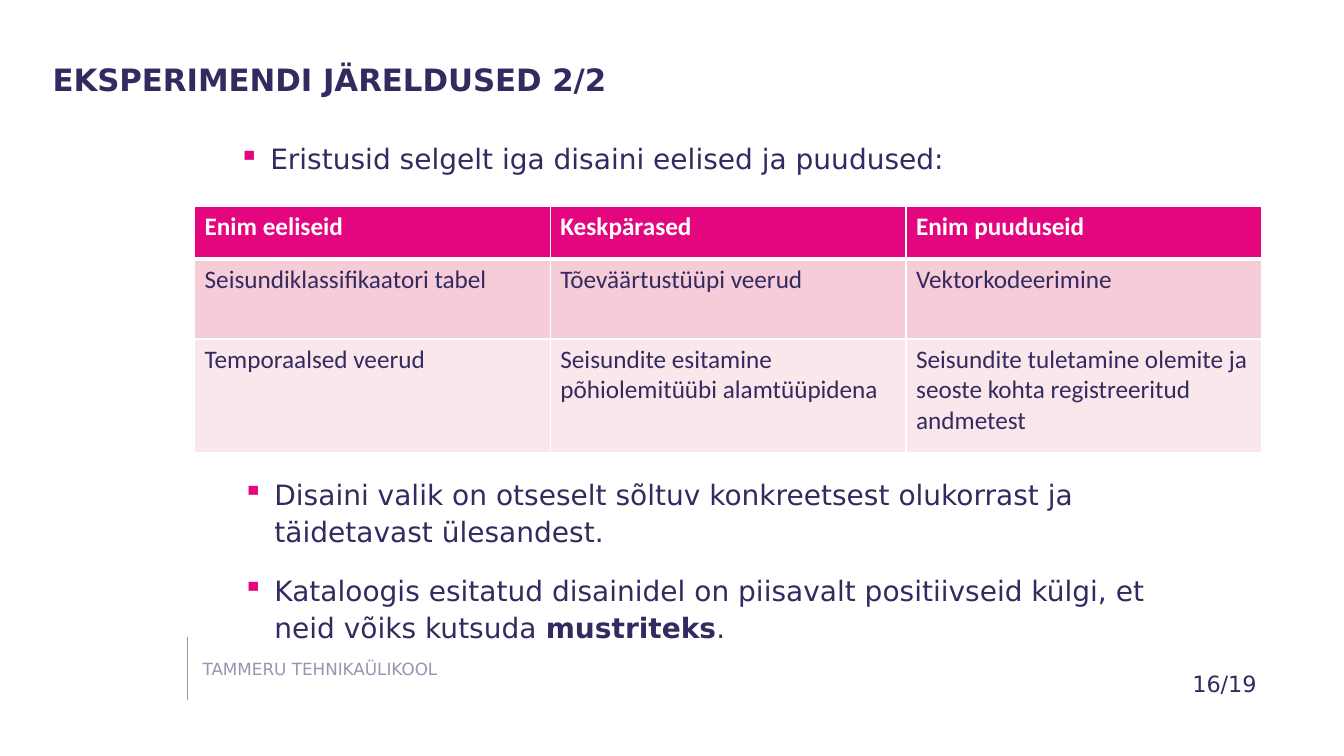
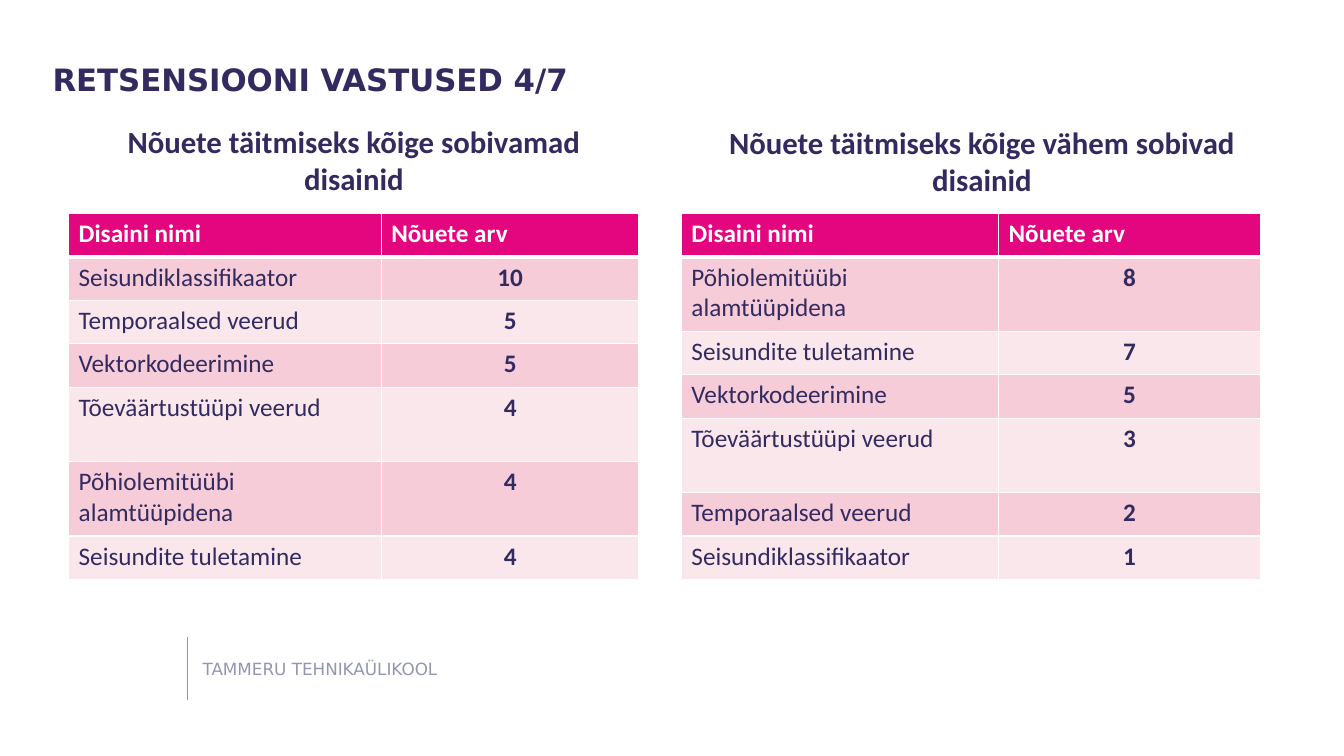
from dataclasses import dataclass

from lxml.etree import SubElement
from pptx import Presentation
from pptx.dml.color import RGBColor
from pptx.enum.shapes import MSO_CONNECTOR as Connector
from pptx.enum.text import MSO_ANCHOR as Anchor, MSO_AUTO_SIZE as AutoSize, PP_ALIGN as Align
from pptx.oxml.ns import qn
from pptx.util import Pt

# Content
ORGANISATION = "TAMMERU TEHNIKAÜLIKOOL"

CONCLUSIONS_TITLE = "EKSPERIMENDI JÄRELDUSED 2/2"
# Every second piece of a point is bold
COMPARISON_POINT = [("Eristusid selgelt iga disaini eelised ja puudused:",)]
CLOSING_POINTS = [
    ("Disaini valik on otseselt sõltuv konkreetsest olukorrast ja täidetavast ülesandest.",),
    ("Kataloogis esitatud disainidel on piisavalt positiivseid külgi, et neid võiks kutsuda ",
     "mustriteks", "."),
]
DESIGN_COMPARISON = [
    ("Enim eeliseid", "Keskpärased", "Enim puuduseid"),
    ("Seisundiklassifikaatori tabel", "Tõeväärtustüüpi veerud", "Vektorkodeerimine"),
    ("Temporaalsed veerud", "Seisundite esitamine põhiolemitüübi alamtüüpidena",
     "Seisundite tuletamine olemite ja seoste kohta registreeritud andmetest"),
]
PAGE_NUMBER = "16/19"

REVIEW_TITLE = "RETSENSIOONI VASTUSED 4/7"
CLASSIFIER = "Seisundiklassifikaator"
TEMPORAL = "Temporaalsed veerud"
VECTOR = "Vektorkodeerimine"
BOOLEAN = "Tõeväärtustüüpi veerud"
SUBTYPES = "Põhiolemitüübi alamtüüpidena"
DERIVED = "Seisundite tuletamine"
RANKING_HEADER = ("Disaini nimi", "Nõuete arv")
MOST_SUITABLE = [(CLASSIFIER, 10), (TEMPORAL, 5), (VECTOR, 5),
                 (BOOLEAN, 4), (SUBTYPES, 4), (DERIVED, 4)]
LEAST_SUITABLE = [(SUBTYPES, 8), (DERIVED, 7), (VECTOR, 5),
                  (BOOLEAN, 3), (TEMPORAL, 2), (CLASSIFIER, 1)]
TALL_ROWS = {BOOLEAN, SUBTYPES}
# Heading, ranking, table left, heading left, heading top, width
RANKINGS = [
    ("Nõuete täitmiseks kõige sobivamad disainid", MOST_SUITABLE, 49, 49, 84.2, 407.5),
    ("Nõuete täitmiseks kõige vähem sobivad disainid", LEAST_SUITABLE, 486.7, 494.6, 85, 413.5),
]


@dataclass(frozen=True)
class Theme:
    ink: str = "332B60"
    accent: str = "E4067E"
    muted: str = "9396B0"
    white: str = "FFFFFF"
    bands: tuple = ("F5CCD8", "FAE7EC")
    font: str = "DejaVu Sans"
    table_font: str = "Calibri"
    heading: int = 22
    body: int = 20
    table: int = 18
    page: int = 16
    footer: int = 12


THEME = Theme()
deck = Presentation()
deck.slide_width, deck.slide_height = Pt(960), Pt(540)


# Text
def rgb(colour):
    return RGBColor.from_string(colour)


def style(paragraph, size, colour=THEME.ink, font=THEME.font, bold=False, align=Align.LEFT):
    paragraph.alignment = align
    for run in paragraph.runs:
        run.font.name, run.font.size, run.font.bold = font, Pt(size), bold
        run.font.color.rgb = rgb(colour)


def clear_margins(frame):
    frame.margin_left = frame.margin_top = frame.margin_right = frame.margin_bottom = 0


def add_text(slide, text, left, top, width, height, size, margins=True, **look):
    frame = slide.shapes.add_textbox(Pt(left), Pt(top), Pt(width), Pt(height)).text_frame
    frame.word_wrap = True
    if not margins:
        clear_margins(frame)
    frame.text = text
    style(frame.paragraphs[0], size, **look)
    return frame


def add_points(slide, points, left, top, height, spacing):
    frame = add_text(slide, "", left, top, 693.4, height, THEME.body, margins=False)
    for index, pieces in enumerate(points):
        point = frame.add_paragraph() if index else frame.paragraphs[0]
        for piece in pieces:
            point.add_run().text = piece
        style(point, THEME.body)
        for run in point.runs[1::2]:
            run.font.bold = True
        point.line_spacing = spacing
        point.space_before, point.space_after = Pt(10), Pt(6)
        # Hanging square bullet
        properties = point._p.get_or_add_pPr()
        properties.set("marL", str(Pt(22.5)))
        properties.set("indent", str(-Pt(22.5)))
        bullet_colour = SubElement(properties, qn("a:buClr"))
        SubElement(bullet_colour, qn("a:srgbClr"), val=THEME.accent)
        SubElement(properties, qn("a:buChar"), char="▪")


# Tables
def set_borders(cell, top, bottom):
    properties = cell._tc.get_or_add_tcPr()
    for side, weight in (("L", 1), ("R", 1), ("T", top), ("B", bottom)):
        line = SubElement(properties, qn(f"a:ln{side}"), w=str(Pt(weight)))
        fill = SubElement(line, qn("a:solidFill"))
        SubElement(fill, qn("a:srgbClr"), val=THEME.white)


def add_grid(slide, rows, left, top, widths, heights):
    grid = slide.shapes.add_table(len(rows), len(widths), Pt(left), Pt(top),
                                  Pt(sum(widths)), Pt(sum(heights))).table
    for column, width in zip(grid.columns, widths):
        column.width = Pt(width)
    for r, (values, height) in enumerate(zip(rows, heights)):
        grid.rows[r].height = Pt(height)
        header = r == 0
        for c, value in enumerate(values):
            cell = grid.cell(r, c)
            set_borders(cell, top=3 if r == 1 else 1, bottom=3 if header else 1)
            cell.fill.solid()
            cell.fill.fore_color.rgb = rgb(THEME.accent if header else THEME.bands[(r - 1) % 2])
            cell.text = str(value)
            count = isinstance(value, int)
            style(cell.text_frame.paragraphs[0], THEME.table,
                  THEME.white if header else THEME.ink, THEME.table_font,
                  bold=header or count, align=Align.CENTER if count else Align.LEFT)


# Shared frame: title and footer
def add_slide(heading):
    slide = deck.slides.add_slide(deck.slide_layouts[5])
    title = slide.shapes.title
    title.left, title.top, title.width, title.height = Pt(37.5), Pt(43.2), Pt(826.5), Pt(64)
    frame = title.text_frame
    frame.text = heading
    frame.auto_size, frame.vertical_anchor = AutoSize.NONE, Anchor.TOP
    clear_margins(frame)
    style(frame.paragraphs[0], THEME.heading, bold=True)

    add_text(slide, ORGANISATION, 144.7, 470.2, 217.5, 13.7, THEME.footer,
             margins=False, colour=THEME.muted)
    divider = slide.shapes.add_connector(Connector.STRAIGHT, Pt(134), Pt(455), Pt(134), Pt(499.7))
    divider.line.color.rgb = rgb(THEME.muted)
    divider.line.width = Pt(0.5)
    SubElement(divider._element.spPr, qn("a:effectLst"))
    return slide


# Conclusions
conclusions = add_slide(CONCLUSIONS_TITLE)
add_points(conclusions, COMPARISON_POINT, 170.6, 103.7, 44, 0.9)
add_grid(conclusions, DESIGN_COMPARISON, 139, 147.2, [254.1] * 3, [38, 57, 81.4])
add_points(conclusions, CLOSING_POINTS, 173.5, 338.4, 113, 1.1)
add_text(conclusions, PAGE_NUMBER, 844.6, 475.2, 64, 26.6, THEME.page)

# Review answers
review = add_slide(REVIEW_TITLE)
for heading, ranking, left, heading_left, heading_top, width in RANKINGS:
    name_width = round(width * 0.548, 1)
    heights = [31] + [53.2 if design in TALL_ROWS else 31 for design, _ in ranking]
    add_grid(review, [RANKING_HEADER] + ranking, left, 152.6,
             [name_width, width - name_width], heights)
    add_text(review, heading, heading_left, heading_top, width, 60.5, THEME.heading,
             font=THEME.table_font, bold=True, align=Align.CENTER)

deck.save("out.pptx")
